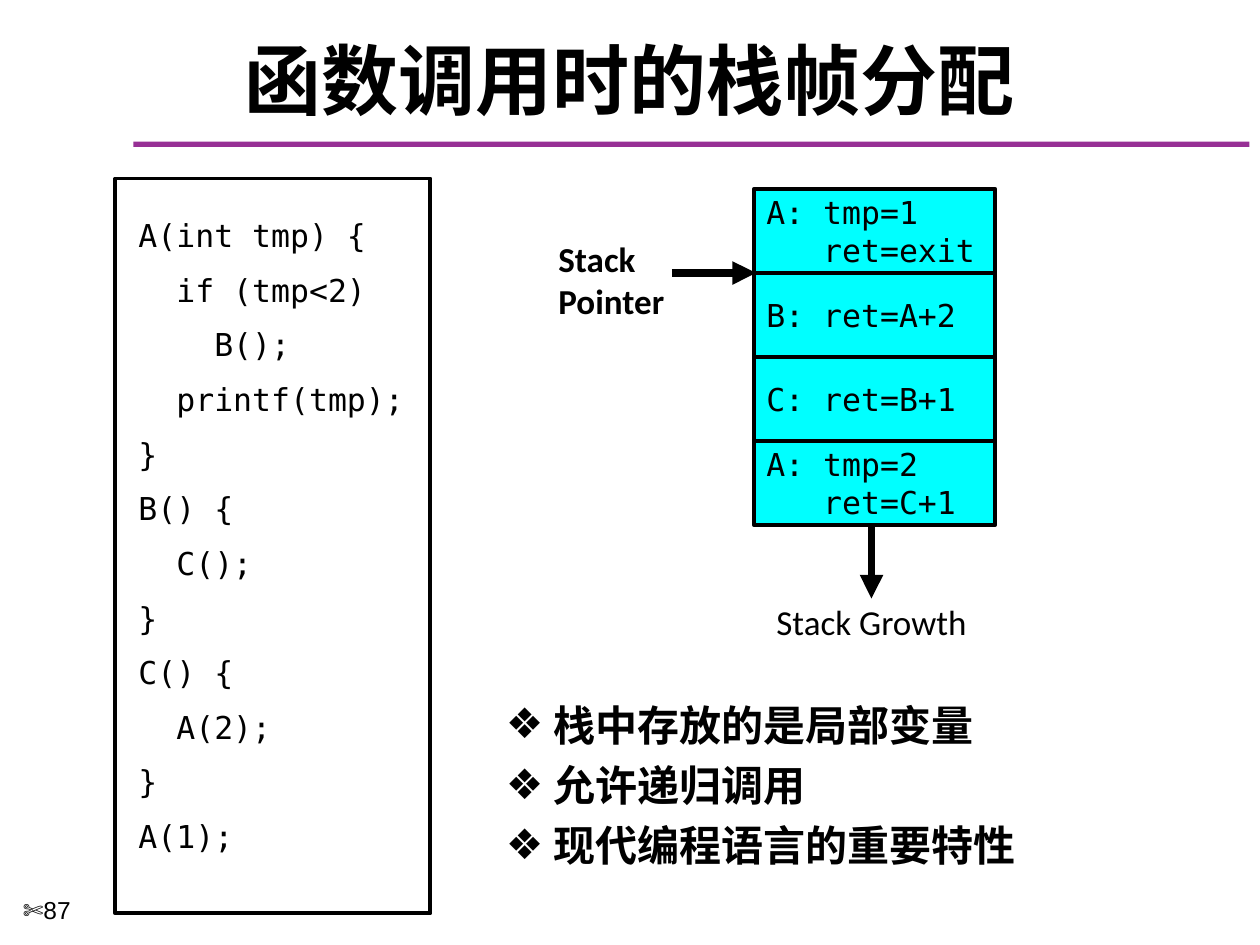
"""Build the slide on stack frames in function calls."""
import pptx
import pptx.util
import pptx.dml.color
import pptx.enum.shapes
import pptx.enum.text
import pptx.oxml.ns
import lxml.etree

TITLE = "函数调用时的栈帧分配"
CODE = [
    "A(int tmp) {",
    "  if (tmp<2)",
    "    B();",
    "  printf(tmp);",
    "}",
    "B() {",
    "  C();",
    "}",
    "C() {",
    "  A(2);",
    "}",
    "A(1);",
]
FRAMES = [
    ["A: tmp=1", "   ret=exit"],
    ["B: ret=A+2"],
    ["C: ret=B+1"],
    ["A: tmp=2", "   ret=C+1"],
]
POINTS = ["栈中存放的是局部变量", "允许递归调用", "现代编程语言的重要特性"]
COLORS = {"ink": "000000", "paper": "FFFFFF", "frame": "00FFFF", "rule": "973095"}

MONO, SANS, CJK = "DejaVu Sans Mono", "DejaVu Sans", "Noto Sans CJK SC"
ALIGN = pptx.enum.text.PP_ALIGN
MIDDLE = pptx.enum.text.MSO_ANCHOR.MIDDLE
CELL = pptx.util.Inches(1) // 12
STACK = {"left": 71.8, "top": 18, "width": 23, "height": 8}

FORMATS = {
    "title": {"size": 44, "name": CJK, "bold": True},
    "code": {"size": 18, "name": MONO},
    "points": {"size": 24, "name": SANS, "bold": True},
    "label": {"size": 20, "name": "Calibri"},
    "strong": {"size": 20, "name": "Calibri", "bold": True},
    "page": {"size": 14, "name": "Arial"},
}


def color(name):
    return pptx.dml.color.RGBColor.from_string(COLORS[name])


def grid(*cells):
    return [round(cell * CELL) for cell in cells]


def add_xml(parent, tag, **attrs):
    return lxml.etree.SubElement(parent, pptx.oxml.ns.qn(tag), attrs)


def write(frame, lines, style, gap=0, align=ALIGN.LEFT, bullet=None):
    frame.word_wrap = True
    for row, text in enumerate(lines):
        para = frame.paragraphs[0] if row == 0 else frame.add_paragraph()
        para.alignment = align
        if row and gap:
            para.space_before = pptx.util.Pt(gap)
        if bullet:
            props = para._p.get_or_add_pPr()
            inset = pptx.util.Inches(0.38)
            props.set("marL", str(inset))
            props.set("indent", str(-inset))
            add_xml(props, "a:buFont", typeface=SANS)
            add_xml(props, "a:buChar", char=bullet)
        run = para.add_run()
        run.text = text
        for key, value in FORMATS[style].items():
            setattr(run.font, key, pptx.util.Pt(value) if key == "size" else value)
        run.font.color.rgb = color("ink")
        add_xml(run._r.get_or_add_rPr(), "a:ea", typeface=FORMATS[style]["name"])


def add_text(slide, cells, lines, style, **extra):
    box = slide.shapes.add_textbox(*grid(*cells))
    write(box.text_frame, lines, style, **extra)


def add_box(slide, cells, fill, line=None):
    kind = pptx.enum.shapes.MSO_SHAPE.RECTANGLE
    box = slide.shapes.add_shape(kind, *grid(*cells))
    box.shadow.inherit = False
    box.fill.solid()
    box.fill.fore_color.rgb = color(fill)
    if line:
        box.line.color.rgb = color(line)
        box.line.width = pptx.util.Pt(2.25)
    else:
        box.line.fill.background()
    return box


def add_arrow(slide, *ends):
    kind = pptx.enum.shapes.MSO_CONNECTOR.STRAIGHT
    arrow = slide.shapes.add_connector(kind, *grid(*ends))
    arrow.line.color.rgb = color("ink")
    arrow.line.width = pptx.util.Pt(4.5)
    add_xml(arrow.line._get_or_add_ln(), "a:tailEnd", type="triangle")
    add_xml(arrow._element.spPr, "a:effectLst")


def add_stack(slide):
    left, top, width, height = STACK.values()
    for row, lines in enumerate(FRAMES):
        box = add_box(slide, (left, top + row * height, width, height), "frame", "ink")
        box.text_frame.vertical_anchor = MIDDLE
        write(box.text_frame, lines, "code")
    base = top + len(FRAMES) * height
    add_arrow(slide, 83, base, 83, base + 7)
    add_text(slide, (70, 56.6, 26, 5.3), ["Stack Growth"], "label", align=ALIGN.CENTER)
    add_text(slide, (52, 22, 14.4, 9.2), ["Stack", "Pointer"], "strong")
    add_arrow(slide, 64, top + height, 72, top + height)


def main():
    deck = pptx.Presentation()
    deck.slide_width, deck.slide_height = grid(120, 90)
    slide = deck.slides.add_slide(deck.slide_layouts[5])
    title = slide.shapes.title
    title.left, title.top, title.width, title.height = grid(2, 3, 116, 9)
    title.text_frame.vertical_anchor = MIDDLE
    write(title.text_frame, [TITLE], "title", align=ALIGN.CENTER)
    add_box(slide, (12.7, 13.5, 106.3, 0.5), "rule")
    add_box(slide, (11, 17, 30, 70), "paper", "ink")
    add_text(slide, (12, 20, 28, 64.4), CODE, "code", gap=9.6)
    add_stack(slide)
    add_text(slide, (47, 66, 67, 17), POINTS, "points", gap=5.6, bullet="❖")
    add_text(slide, (1, 84.7, 13, 5.3), ["✄87"], "page")
    deck.save("out.pptx")


if __name__ == "__main__":
    main()
